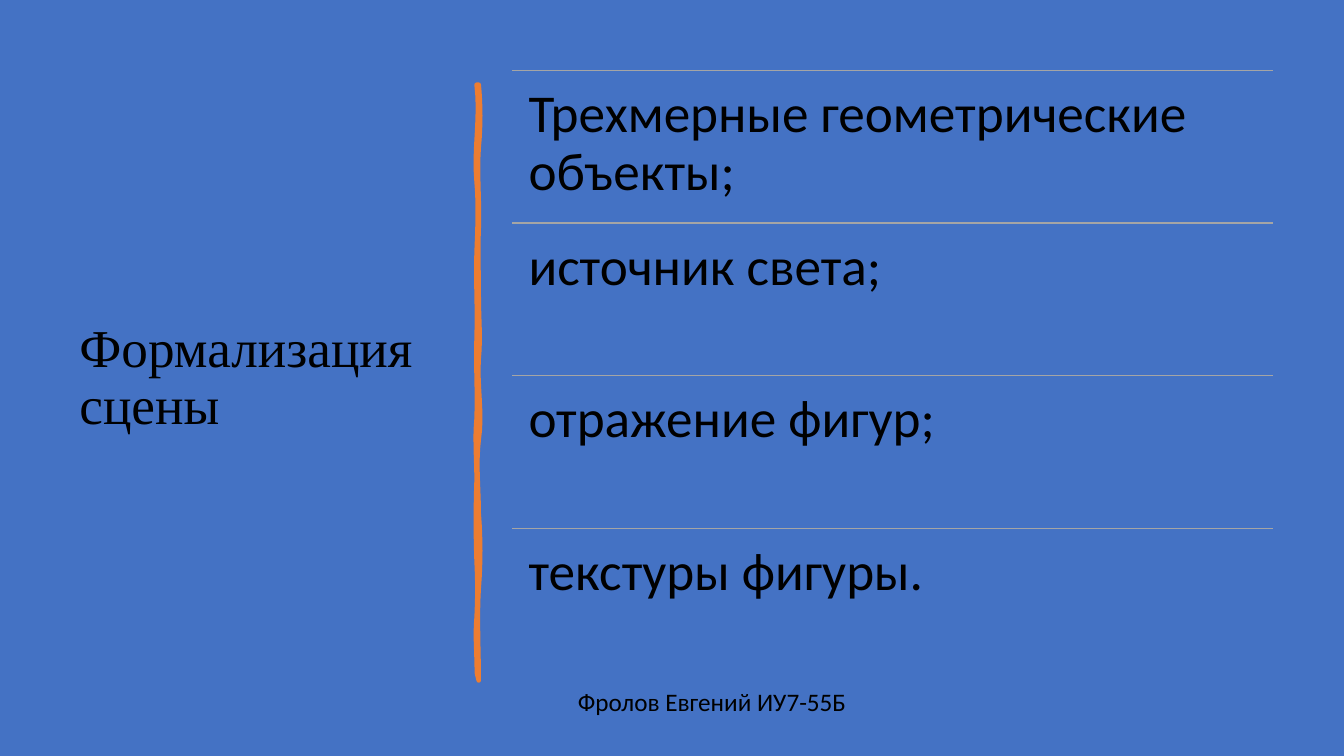
from pptx import Presentation
from pptx.dml.color import RGBColor as RGB
from pptx.enum.shapes import MSO_CONNECTOR as Link, MSO_SHAPE as Kind
from pptx.enum.text import MSO_ANCHOR as Anchor
from pptx.oxml.ns import qn
from pptx.util import Pt
from lxml.etree import SubElement

BLUE = RGB(0x44, 0x72, 0xC4)
ORANGE = RGB(0xED, 0x7D, 0x31)
GRAY = RGB(0xA5, 0xA5, 0xA5)
BLACK = RGB(0, 0, 0)

WIDTH, HEIGHT = 960, 540
ITEMS = [
    "Трехмерные геометрические объекты;",
    "источник света;",
    "отражение фигур;",
    "текстуры фигуры.",
]
LEFT, TOP, SPAN, STEP = 366, 50.4, 543.5, 109

# Brush edges: bulge of the two control points, then the end height
BRUSH_TOP = 60.5
RIGHT = [(1.4, 1.4, 105), (-1.4, 0.7, 163), (-0.7, 0, 212), (0, 1.4, 256),
         (-1.4, 2.9, 314), (-2.2, 0, 367), (1.4, 1.4, 420), (-1.4, 0, 486)]
BACK = [(0.7, -1.4, 441), (0.7, 0.7, 401), (-0.7, -0.7, 343), (0, -1.4, 299),
        (0.7, -0.7, 241), (0.7, -0.7, 180), (0.7, 1.4, 130),
        (-2.2, 2.9, BRUSH_TOP)]


def add_text(slide, text, box, size, face="Calibri", inset=(7.2, 3.6),
             anchor=Anchor.TOP):
    frame = slide.shapes.add_textbox(*map(Pt, box)).text_frame
    frame.word_wrap = True
    frame.vertical_anchor = anchor
    frame.margin_left = frame.margin_right = Pt(inset[0])
    frame.margin_top = frame.margin_bottom = Pt(inset[1])
    para = frame.paragraphs[0]
    para.text = text
    para.line_spacing = 0.9
    para.font.size = Pt(size)
    para.font.name = face
    para.font.color.rgb = BLACK


def add_rule(slide, left, top, span):
    rule = slide.shapes.add_connector(
        Link.STRAIGHT, Pt(left), Pt(top), Pt(left + span), Pt(top))
    rule.line.color.rgb = GRAY
    rule.line.width = Pt(1)
    SubElement(rule.element.spPr, qn("a:effectLst"))


def trace(edge, x, y, steps=8):
    """Sample the curves of one brush edge."""
    dots = []
    for first, second, end in edge:
        for i in range(1, steps + 1):
            t = i / steps
            bulge = 3 * t * (1 - t) * (first * (1 - t) + second * t)
            dots.append((Pt(x + bulge), Pt(y + (end - y) * t)))
        y = end
    return dots


def add_brush(slide, x, thick):
    pen = slide.shapes.build_freeform(Pt(x + thick), Pt(BRUSH_TOP))
    pen.add_line_segments(trace(RIGHT, x + thick, BRUSH_TOP)
                          + trace(BACK, x, RIGHT[-1][2]))
    brush = pen.convert_to_shape()
    brush.shadow.inherit = False
    brush.fill.solid()
    brush.fill.fore_color.rgb = ORANGE
    brush.line.color.rgb = ORANGE
    brush.line.width = Pt(3.25)


def add_panel(slide):
    panel = slide.shapes.add_shape(Kind.RECTANGLE, 0, 0, Pt(WIDTH), Pt(HEIGHT))
    panel.shadow.inherit = False
    panel.fill.solid()
    panel.fill.fore_color.rgb = BLUE
    panel.line.fill.background()


def main():
    deck = Presentation()
    deck.slide_width, deck.slide_height = Pt(WIDTH), Pt(HEIGHT)
    slide = deck.slides.add_slide(deck.slide_layouts[6])

    # Background, title and divider
    add_panel(slide)
    add_text(slide, "Формализация сцены", (49.7, 50.4, 269.3, 440), 38,
             face="Times New Roman", anchor=Anchor.MIDDLE)
    add_brush(slide, 340.5, 1.5)

    # List with a rule above each item
    for i, item in enumerate(ITEMS):
        top = TOP + i * STEP
        add_rule(slide, LEFT, top, SPAN)
        add_text(slide, item, (LEFT, top, SPAN, STEP), 38, inset=(11.5, 11.5))

    # Author line
    add_text(slide, "Фролов Евгений ИУ7-55Б", (405.7, 489, 554.3, 49), 18)

    deck.save("out.pptx")


if __name__ == "__main__":
    main()
